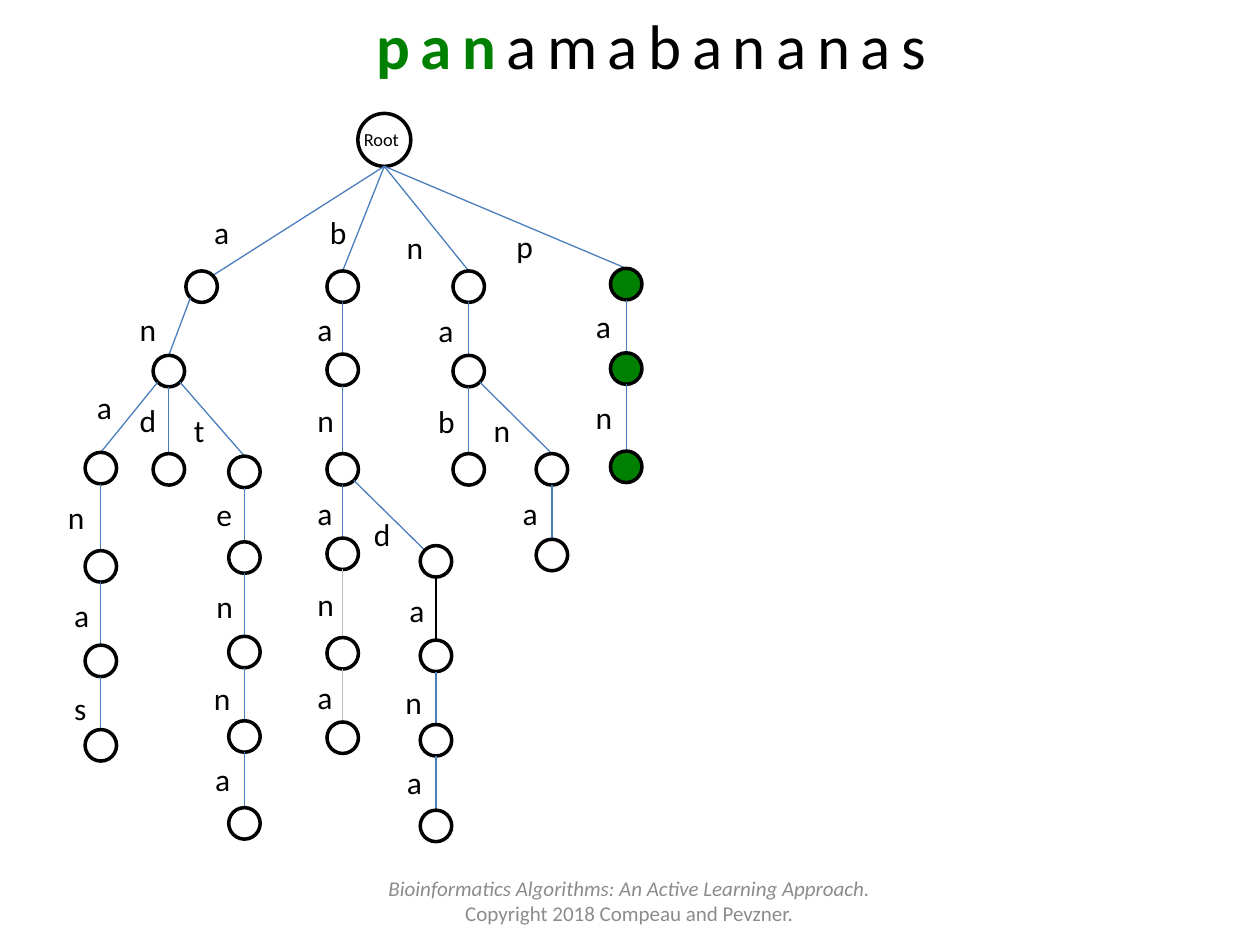
from typing import NamedTuple

from lxml.etree import SubElement
from pptx import Presentation
from pptx.dml.color import RGBColor
from pptx.enum.shapes import MSO_CONNECTOR, MSO_SHAPE
from pptx.enum.text import MSO_ANCHOR, PP_ALIGN
from pptx.oxml.ns import qn
from pptx.util import Inches, Pt

FONT = "Calibri"
BLACK, WHITE, GREEN = "000000", "FFFFFF", "008000"
BLUE, SILVER, GRAY = "4B7EBC", "BFBFBF", "8C8C8C"
NODE_SIZE, ROOT_SIZE = 0.25, 0.42
ROOT_X, ROOT_TOP = 3.05, 0.9
DIAGONAL = 0.71  # share of the radius at a 45 degree point
LABEL_HEIGHT = 0.4
LABEL_WIDTHS = {"a": 0.32, "e": 0.33, "s": 0.3, "t": 0.29}


class Node(NamedTuple):
    """A trie node named by its prefix; its edge carries the last letter."""
    prefix: str
    x: float
    top: float
    label_left: float
    label_top: float
    edge: str = BLUE
    fill: str = WHITE
    end_side: int = 0  # edge arrives at the top (0), upper left (-1) or upper right (1)


class Run(NamedTuple):
    text: str
    color: str = BLACK
    bold: bool = False
    italic: bool = False


NODES = [
    Node("a", 1.6, 2.15, 1.6, 1.64, end_side=1),
    Node("an", 1.34, 2.82, 1.01, 2.41),
    Node("ana", 0.8, 3.59, 0.67, 3.03),
    Node("anan", 0.8, 4.37, 0.44, 3.9),
    Node("anana", 0.8, 5.12, 0.49, 4.68),
    Node("ananas", 0.8, 5.79, 0.49, 5.42),
    Node("and", 1.34, 3.6, 1.01, 3.13),
    Node("ant", 1.94, 3.62, 1.44, 3.21),
    Node("ante", 1.94, 4.3, 1.62, 3.88),
    Node("anten", 1.94, 5.05, 1.62, 4.61),
    Node("antenn", 1.94, 5.72, 1.6, 5.34),
    Node("antenna", 1.94, 6.41, 1.61, 5.98),
    Node("b", 2.72, 2.15, 2.52, 1.64),
    Node("ba", 2.72, 2.81, 2.42, 2.41),
    Node("ban", 2.72, 3.6, 2.42, 3.13),
    Node("bana", 2.72, 4.27, 2.42, 3.87),
    Node("banan", 2.72, 5.06, 2.42, 4.59, edge=SILVER),
    Node("banana", 2.72, 5.73, 2.42, 5.33, edge=SILVER),
    Node("band", 3.46, 4.33, 2.87, 4.04, end_side=-1),
    Node("banda", 3.46, 5.08, 3.15, 4.64, edge=BLACK),
    Node("bandan", 3.46, 5.75, 3.12, 5.37),
    Node("bandana", 3.46, 6.43, 3.13, 6.01),
    Node("n", 3.72, 2.15, 3.13, 1.76),
    Node("na", 3.72, 2.82, 3.38, 2.42),
    Node("nab", 3.72, 3.6, 3.38, 3.14),
    Node("nan", 4.38, 3.6, 3.82, 3.21),
    Node("nana", 4.38, 4.28, 4.05, 3.87),
    Node("p", 4.97, 2.13, 4, 1.75, fill=GREEN),
    Node("pa", 4.97, 2.8, 4.63, 2.39, fill=GREEN),
    Node("pan", 4.97, 3.58, 4.63, 3.11, fill=GREEN),
]


def rgb(color: str) -> RGBColor:
    return RGBColor.from_string(color)


def add_text(s, lines: list[list[Run]], left: float, top: float, width: float,
             height: float, *, size: float = 18, align=PP_ALIGN.LEFT,
             anchor=MSO_ANCHOR.TOP, wrap: bool = True, spacing: float = 0) -> None:
    """Add a text box with one paragraph per line; spacing is in points."""
    sp = s.shapes.add_textbox(Inches(left), Inches(top), Inches(width), Inches(height))
    tf = sp.text_frame
    tf.word_wrap = wrap
    tf.vertical_anchor = anchor
    for i, line in enumerate(lines):
        p = tf.paragraphs[0] if i == 0 else tf.add_paragraph()
        p.alignment = align
        for run in line:
            r = p.add_run()
            r.text = run.text
            r.font.name = FONT
            r.font.size = Pt(size)
            r.font.bold = run.bold
            r.font.italic = run.italic
            r.font.color.rgb = rgb(run.color)
            if spacing:
                r._r.get_or_add_rPr().set("spc", str(round(spacing * 100)))


def add_circle(s, x: float, top: float, size: float, fill: str = WHITE) -> None:
    """Add a circle centred horizontally on x."""
    sp = s.shapes.add_shape(MSO_SHAPE.OVAL, Inches(x - size / 2), Inches(top),
                            Inches(size), Inches(size))
    sp.shadow.inherit = False
    sp.fill.solid()
    sp.fill.fore_color.rgb = rgb(fill)
    sp.line.color.rgb = rgb(BLACK)
    sp.line.width = Pt(2)


def add_line(s, start: tuple[float, float], end: tuple[float, float], color: str) -> None:
    line = s.shapes.add_connector(MSO_CONNECTOR.STRAIGHT, *map(Inches, start + end))
    line.line.color.rgb = rgb(color)
    line.line.width = Pt(0.75)
    SubElement(line._element.spPr, qn("a:effectLst"))


def rim_point(node: Node, side: int, vertical: int) -> tuple[float, float]:
    """Point on a node's rim: side -1, 0 or 1 across, vertical -1 (up) or 1 (down)."""
    radius = NODE_SIZE / 2
    reach = radius * DIAGONAL if side else radius
    return node.x + side * reach, node.top + radius + vertical * reach


def add_edge(s, node: Node, parent: Node | None) -> None:
    """Join a node to its parent, or to the root when it has none."""
    if parent is None:
        start = (ROOT_X, ROOT_TOP + ROOT_SIZE)
    else:
        side = (node.x > parent.x) - (node.x < parent.x)
        start = rim_point(parent, side, 1)
    add_line(s, start, rim_point(node, node.end_side, -1), node.edge)


def main() -> None:
    prs = Presentation()
    prs.slide_width, prs.slide_height = Inches(10), Inches(7.5)
    s = prs.slides.add_slide(prs.slide_layouts[6])

    by_prefix = {node.prefix: node for node in NODES}
    add_circle(s, ROOT_X, ROOT_TOP, ROOT_SIZE)
    add_text(s, [[Run("Root")]], 2.79, 0.97, 0.55, 0.28, size=10.5)
    for node in NODES:
        letter = node.prefix[-1]
        add_edge(s, node, by_prefix.get(node.prefix[:-1]))
        add_circle(s, node.x, node.top, NODE_SIZE, node.fill)
        add_text(s, [[Run(letter)]], node.label_left, node.label_top,
                 LABEL_WIDTHS.get(letter, 0.34), LABEL_HEIGHT, wrap=False)

    add_text(s, [[Run("pan", GREEN, bold=True), Run("amabananas")]],
             2.67, 0, 5, 0.71, size=36, align=PP_ALIGN.CENTER, spacing=6)
    add_text(s, [[Run("Bioinformatics Algorithms: An Active Learning Approach.", GRAY, italic=True)],
                 [Run("Copyright 2018 Compeau and Pevzner.", GRAY)]],
             2.83, 6.95, 4.33, 0.4, size=12, align=PP_ALIGN.CENTER, anchor=MSO_ANCHOR.MIDDLE)
    prs.save("out.pptx")


if __name__ == "__main__":
    main()
